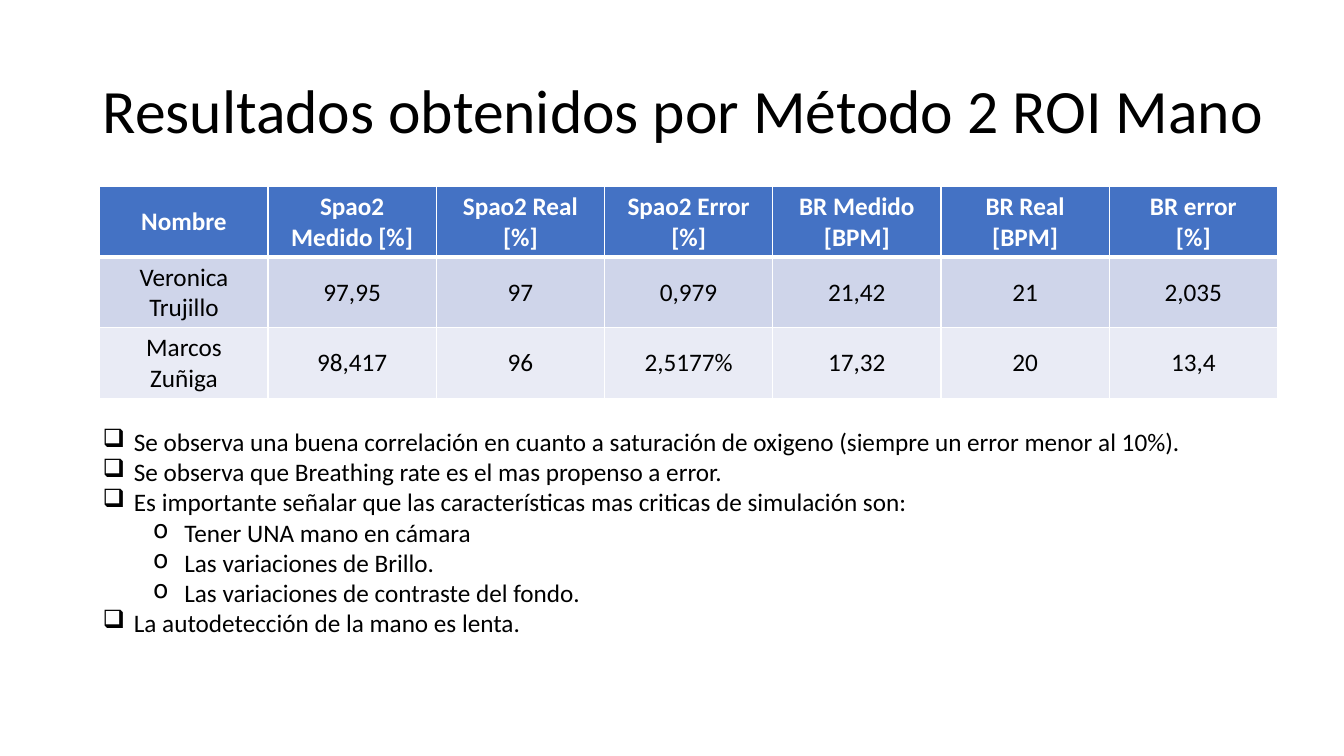
import pptx
import pptx.util
import pptx.dml.color
import pptx.enum.text
import pptx.oxml
import pptx.oxml.ns

Inches, Pt = pptx.util.Inches, pptx.util.Pt
RGBColor = pptx.dml.color.RGBColor
PP_ALIGN = pptx.enum.text.PP_ALIGN
MSO_ANCHOR = pptx.enum.text.MSO_ANCHOR

BLACK = RGBColor(0x00, 0x00, 0x00)
WHITE = RGBColor(0xFF, 0xFF, 0xFF)
HEADER_BLUE = RGBColor(0x44, 0x72, 0xC4)
BANDS = [RGBColor(0xCF, 0xD5, 0xEA), RGBColor(0xE9, 0xEB, 0xF5)]

FONT = "Calibri"
LEFT, TABLE_LEFT, CONTENT_W = 0.92, 0.99, 11.68
ROW_H = 0.7
BULLET_INDENT, LEVEL_STEP = 0.31, 0.5
BULLETS = ["❑", "o"]

TITLE = "Resultados obtenidos por Método 2 ROI Mano"
RESULTS = [
    ["Nombre", "Spao2 Medido [%]", "Spao2 Real [%]", "Spao2 Error [%]",
     "BR Medido [BPM]", "BR Real [BPM]", "BR error\n[%]"],
    ["Veronica Trujillo", "97,95", "97", "0,979", "21,42", "21", "2,035"],
    ["Marcos Zuñiga", "98,417", "96", "2,5177%", "17,32", "20", "13,4"],
]
REMARKS = [
    (0, "Se observa una buena correlación en cuanto a saturación de oxigeno "
        "(siempre un error menor al 10%)."),
    (0, "Se observa que Breathing rate es el mas propenso a error."),
    (0, "Es importante señalar que las características mas criticas de simulación son:"),
    (1, "Tener UNA mano en cámara"),
    (1, "Las variaciones de Brillo."),
    (1, "Las variaciones de contraste del fondo."),
    (0, "La autodetección de la mano es lenta."),
]


def add_paragraph(tf, i, text, size, color=BLACK, bold=False, align=None):
    p = tf.paragraphs[0] if i == 0 else tf.add_paragraph()
    p.alignment = align
    r = p.add_run()
    r.text = text
    r.font.name, r.font.size, r.font.bold = FONT, Pt(size), bold
    r.font.color.rgb = color
    return p


def add_text_box(s, x, y, w, h, anchor=MSO_ANCHOR.TOP):
    tf = s.shapes.add_textbox(Inches(x), Inches(y), Inches(w), Inches(h)).text_frame
    tf.word_wrap = True
    tf.vertical_anchor = anchor
    return tf


def set_bullet(p, level):
    p.level = level
    pPr = p._p.get_or_add_pPr()
    pPr.set("marL", str(Inches(BULLET_INDENT + level * LEVEL_STEP)))
    pPr.set("indent", str(-Inches(BULLET_INDENT)))
    bullet = pptx.oxml.parse_xml(
        f'<a:buChar {pptx.oxml.ns.nsdecls("a")} char="{BULLETS[level]}"/>')
    pPr.append(bullet)


def set_borders(cell, bottom):
    tcPr = cell._tc.get_or_add_tcPr()
    for side, width in (("L", 1), ("R", 1), ("T", 1), ("B", bottom)):
        tcPr.append(pptx.oxml.parse_xml(
            f'<a:ln{side} {pptx.oxml.ns.nsdecls("a")} w="{Pt(width)}">'
            f'<a:solidFill><a:srgbClr val="{WHITE}"/></a:solidFill></a:ln{side}>'))


def fill_cell(cell, text, row):
    header = row == 0
    # The rule under the header is shared with the top of the first data row
    set_borders(cell, 3 if header else 1)
    if row == 1:
        cell._tc.tcPr.find(pptx.oxml.ns.qn("a:lnT")).set("w", str(Pt(3)))
    cell.fill.solid()
    cell.fill.fore_color.rgb = HEADER_BLUE if header else BANDS[(row - 1) % 2]
    cell.vertical_anchor = MSO_ANCHOR.MIDDLE
    for i, line in enumerate(text.split("\n")):
        add_paragraph(cell.text_frame, i, line, 18, WHITE if header else BLACK,
                      header, PP_ALIGN.CENTER)


def add_results_table(s, y):
    rows, cols = len(RESULTS), len(RESULTS[0])
    table = s.shapes.add_table(rows, cols, Inches(TABLE_LEFT), Inches(y),
                               Inches(CONTENT_W), Inches(ROW_H * rows)).table
    for row, values in enumerate(RESULTS):
        for col, text in enumerate(values):
            fill_cell(table.cell(row, col), text, row)


def main():
    prs = pptx.Presentation()
    prs.slide_width, prs.slide_height = Inches(13.33), Inches(7.5)
    s = prs.slides.add_slide(prs.slide_layouts[6])

    # Title
    tf = add_text_box(s, LEFT, 0.4, 12.07, 1.45, MSO_ANCHOR.MIDDLE)
    add_paragraph(tf, 0, TITLE, 44).line_spacing = 0.9

    # Measurements
    add_results_table(s, 1.85)

    # Remarks
    tf = add_text_box(s, LEFT, 4.18, CONTENT_W, 2.22)
    for i, (level, text) in enumerate(REMARKS):
        set_bullet(add_paragraph(tf, i, text, 18, align=PP_ALIGN.JUSTIFY), level)

    prs.save("out.pptx")


if __name__ == "__main__":
    main()
